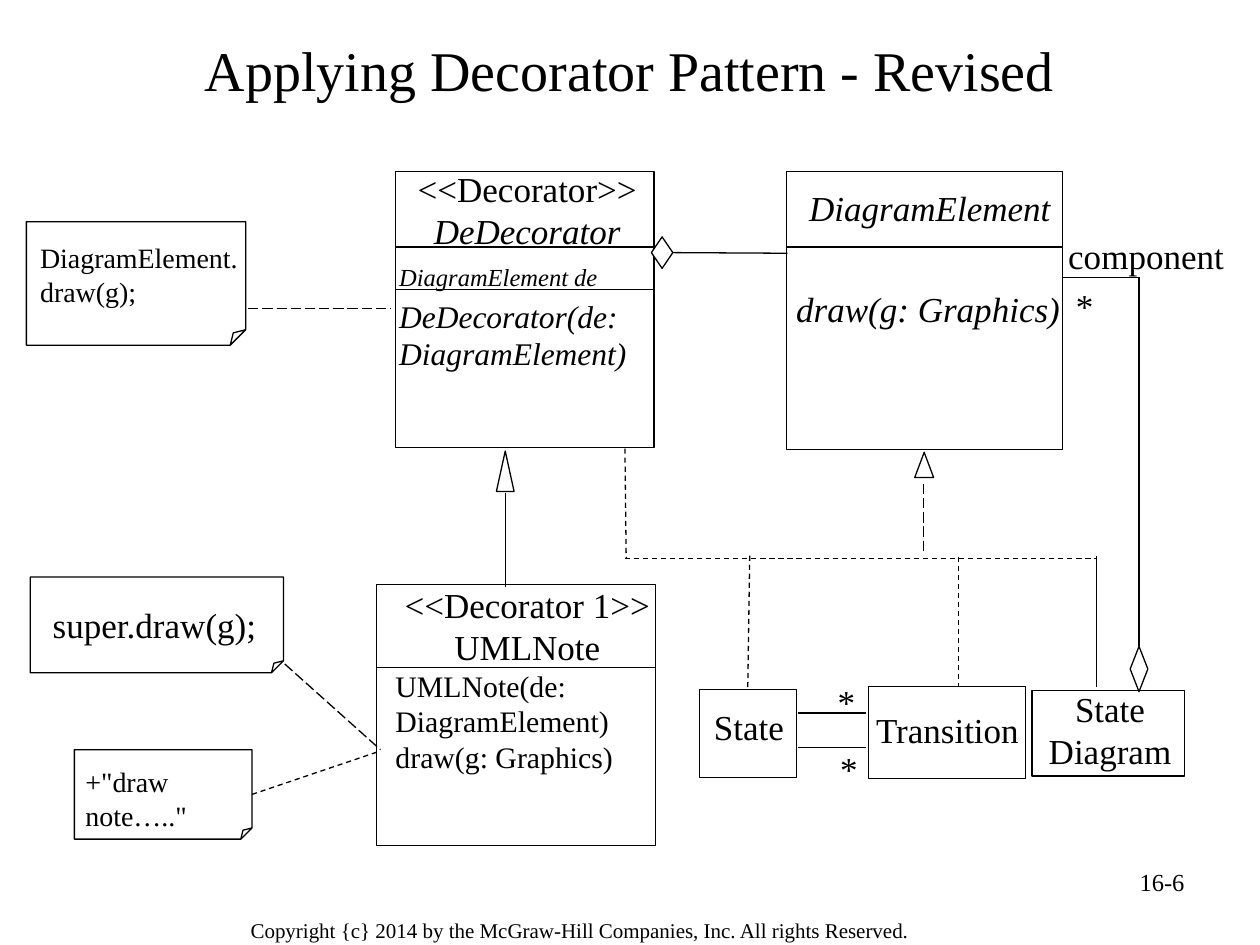
from lxml import etree
from pptx import Presentation
from pptx.dml.color import RGBColor
from pptx.enum import dml, shapes, text
from pptx.oxml.ns import qn
from pptx.util import Inches, Pt

BLACK = RGBColor(0x00, 0x00, 0x00)
WHITE = RGBColor(0xFF, 0xFF, 0xFF)
FONT = "Times New Roman"
LINE_WIDTH = Pt(0.75)
LEFT, CENTER, RIGHT = text.PP_ALIGN.LEFT, text.PP_ALIGN.CENTER, text.PP_ALIGN.RIGHT
DASH, LONG_DASH = dml.MSO_LINE.DASH, dml.MSO_LINE.LONG_DASH
SHAPE = shapes.MSO_SHAPE
TOP, SIDE_RIGHT = 0, 3


def write_paragraph(paragraph, words, size, italic=False, align=LEFT, before=0):
    paragraph.alignment = align
    paragraph.space_before = Pt(before)
    run = paragraph.add_run()
    run.text = words
    run.font.name = FONT
    run.font.size = Pt(size)
    run.font.italic = italic
    run.font.color.rgb = BLACK


def add_text(slide, box, paragraphs):
    frame = slide.shapes.add_textbox(*map(Inches, box)).text_frame
    frame.word_wrap = True
    for index, settings in enumerate(paragraphs):
        paragraph = frame.add_paragraph() if index else frame.paragraphs[0]
        write_paragraph(paragraph, *settings)


def add_outline(slide, kind, box, fill=None):
    shape = slide.shapes.add_shape(kind, *map(Inches, box))
    shape.shadow.inherit = False
    if fill is None:
        shape.fill.background()
    else:
        shape.fill.solid()
        shape.fill.fore_color.rgb = fill
    shape.line.color.rgb = BLACK
    shape.line.width = LINE_WIDTH
    return shape


def add_line(slide, start, end, dash=None, begin=None, finish=None):
    """Draw a line; begin and finish are (shape, side) pairs to join."""
    connector = slide.shapes.add_connector(
        shapes.MSO_CONNECTOR.STRAIGHT, *map(Inches, (*start, *end)))
    etree.SubElement(connector._element.spPr, qn("a:effectLst"))
    connector.line.color.rgb = BLACK
    connector.line.width = LINE_WIDTH
    if dash is not None:
        connector.line.dash_style = dash
    if begin:
        connector.begin_connect(*begin)
    if finish:
        connector.end_connect(*finish)


def add_class(slide, box, text_offset, text_width, paragraphs, dividers=()):
    """A class box with its text and compartment lines."""
    left, top, width, height = box
    shape = add_outline(slide, SHAPE.RECTANGLE, box)
    dx, dy = text_offset
    add_text(slide, (left + dx, top + dy, text_width, height), paragraphs)
    for offset in dividers:
        add_line(slide, (left, top + offset), (left + width, top + offset))
    return shape


def add_note(slide, box, text_offset, text_width, words, size):
    """A folded-corner note with its text."""
    left, top, width, height = box
    shape = add_outline(slide, SHAPE.FOLDED_CORNER, box)
    # The fold takes an eighth of the shorter side
    geometry = shape._element.spPr.find(qn("a:prstGeom"))
    guides = geometry.find(qn("a:avLst"))
    if guides is None:
        guides = etree.SubElement(geometry, qn("a:avLst"))
    for guide in list(guides):
        guides.remove(guide)
    etree.SubElement(guides, qn("a:gd"), name="adj", fmla="val 12500")
    dx, dy = text_offset
    add_text(slide, (left + dx, top + dy, text_width, height - dy), [(words, size)])
    return shape


def add_title(slide, box, words):
    title = slide.shapes.title
    title.left, title.top, title.width, title.height = map(Inches, box)
    title.text_frame.vertical_anchor = text.MSO_ANCHOR.MIDDLE
    write_paragraph(title.text_frame.paragraphs[0], words, 32, align=CENTER)


def add_footer(slide):
    add_text(slide, (1.89, 7.23, 6.19, 0.3), [
        ("Copyright {c} 2014 by the McGraw-Hill Companies, Inc. All rights Reserved.", 12)])
    add_text(slide, (7.17, 6.83, 2.33, 0.52), [("16-6", 14, False, RIGHT)])


def add_decorators(slide):
    add_class(slide, (3.14, 1.36, 2.05, 2.19), (-0.07, -0.08), 2.23, [
        ("<<Decorator>>", 20, False, CENTER),
        ("DeDecorator", 20, True, CENTER),
        ("DiagramElement de", 14, True, LEFT, 6),
        ("DeDecorator(de: DiagramElement)", 18, True, LEFT, 3),
    ], dividers=(0.6, 0.94))
    add_class(slide, (2.99, 4.64, 2.21, 2.07), (0.05, -0.06), 2.29, [
        ("<<Decorator 1>>", 20, False, CENTER),
        ("UMLNote", 20, False, CENTER),
        ("UMLNote(de: DiagramElement)", 17),
        ("draw(g: Graphics)", 17),
    ], dividers=(0.66,))
    # Inheritance
    add_outline(slide, SHAPE.ISOSCELES_TRIANGLE, (3.94, 3.58, 0.14, 0.32), WHITE)
    add_line(slide, (4.01, 3.91), (4.01, 4.66))


def add_elements(slide):
    add_class(slide, (6.24, 1.36, 2.19, 2.21), (-0.02, 0.07), 2.32, [
        ("DiagramElement", 20, True, CENTER),
        ("draw(g: Graphics)", 20, True, LEFT, 34),
    ], dividers=(0.6,))
    state, _, _ = [
        add_class(slide, box, offset, width, [(name, 20, False, CENTER)])
        for name, box, offset, width in (
            ("State", (5.55, 5.47, 0.77, 0.7), (-0.02, 0.08), 0.83),
            ("Transition", (6.89, 5.45, 1.25, 0.73), (-0.05, 0.12), 1.36),
            ("State Diagram", (8.19, 5.48, 1.21, 0.68), (-0.1, -0.07), 1.44),
        )]

    # Realization tree
    add_outline(slide, SHAPE.ISOSCELES_TRIANGLE, (7.26, 3.59, 0.15, 0.2), WHITE)
    add_line(slide, (7.33, 3.84), (7.33, 4.37), LONG_DASH)
    add_line(slide, (4.96, 3.56), (4.97, 4.43), DASH)
    add_line(slide, (4.96, 4.43), (8.7, 4.43), DASH)
    add_line(slide, (5.95, 4.41), (5.95, 5.47), DASH, finish=(state, TOP))
    add_line(slide, (7.61, 4.42), (7.61, 5.45), DASH)
    add_line(slide, (8.7, 4.41), (8.7, 5.45))

    # Associations between State and Transition
    for y in (5.66, 5.93):
        add_line(slide, (6.33, y), (6.87, y))
    for left, top in ((6.55, 5.35), (6.57, 5.88)):
        add_text(slide, (left, top, 0.38, 0.52), [("*", 20)])

    # Aggregations
    wrapped = add_outline(slide, SHAPE.DIAMOND, (5.17, 1.88, 0.17, 0.25), WHITE)
    add_line(slide, (5.34, 2.01), (6.25, 2.01), begin=(wrapped, SIDE_RIGHT))
    parts = add_outline(slide, SHAPE.DIAMOND, (8.97, 5.13, 0.14, 0.36), WHITE)
    add_line(slide, (8.44, 2.2), (9.04, 2.2))
    add_line(slide, (9.04, 2.2), (9.04, 5.13), finish=(parts, TOP))
    add_text(slide, (8.38, 1.81, 1.5, 0.42), [("component", 20)])
    add_text(slide, (8.44, 2.21, 0.38, 0.52), [("*", 20)])


def add_notes(slide):
    add_note(slide, (0.21, 1.76, 1.74, 0.98), (0.01, 0.1), 1.82,
             "DiagramElement. draw(g);", 16)
    add_line(slide, (1.97, 2.45), (3.1, 2.45), LONG_DASH)
    add_note(slide, (0.24, 4.58, 2.01, 0.76), (0.08, 0.16), 2.05, "super.draw(g);", 20)
    add_line(slide, (2.26, 5.27), (3.02, 5.95), LONG_DASH)
    draw_note = add_note(slide, (0.59, 5.95, 1.41, 0.71), (-0.01, 0.07), 1.54,
                         "+\"draw note…..\"", 16)
    add_line(slide, (2, 6.3), (2.99, 5.97), DASH, begin=(draw_note, SIDE_RIGHT))


def main():
    presentation = Presentation()
    presentation.slide_width = Inches(10)
    presentation.slide_height = Inches(7.5)
    slide = presentation.slides.add_slide(presentation.slide_layouts[5])
    add_title(slide, (0.5, 0.17, 9, 0.75), "Applying Decorator Pattern - Revised")
    add_decorators(slide)
    add_elements(slide)
    add_notes(slide)
    add_footer(slide)
    presentation.save("out.pptx")


if __name__ == "__main__":
    main()
